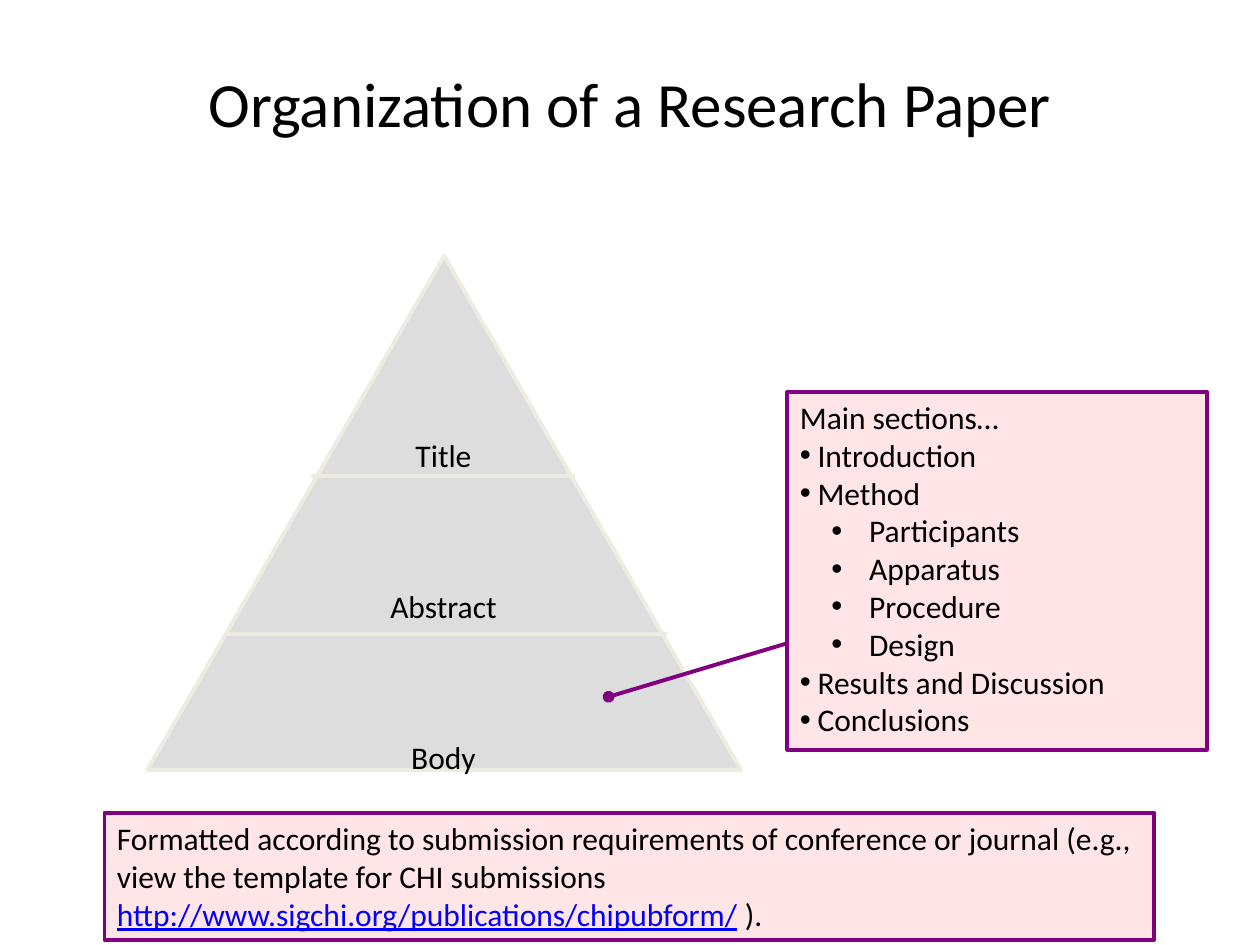
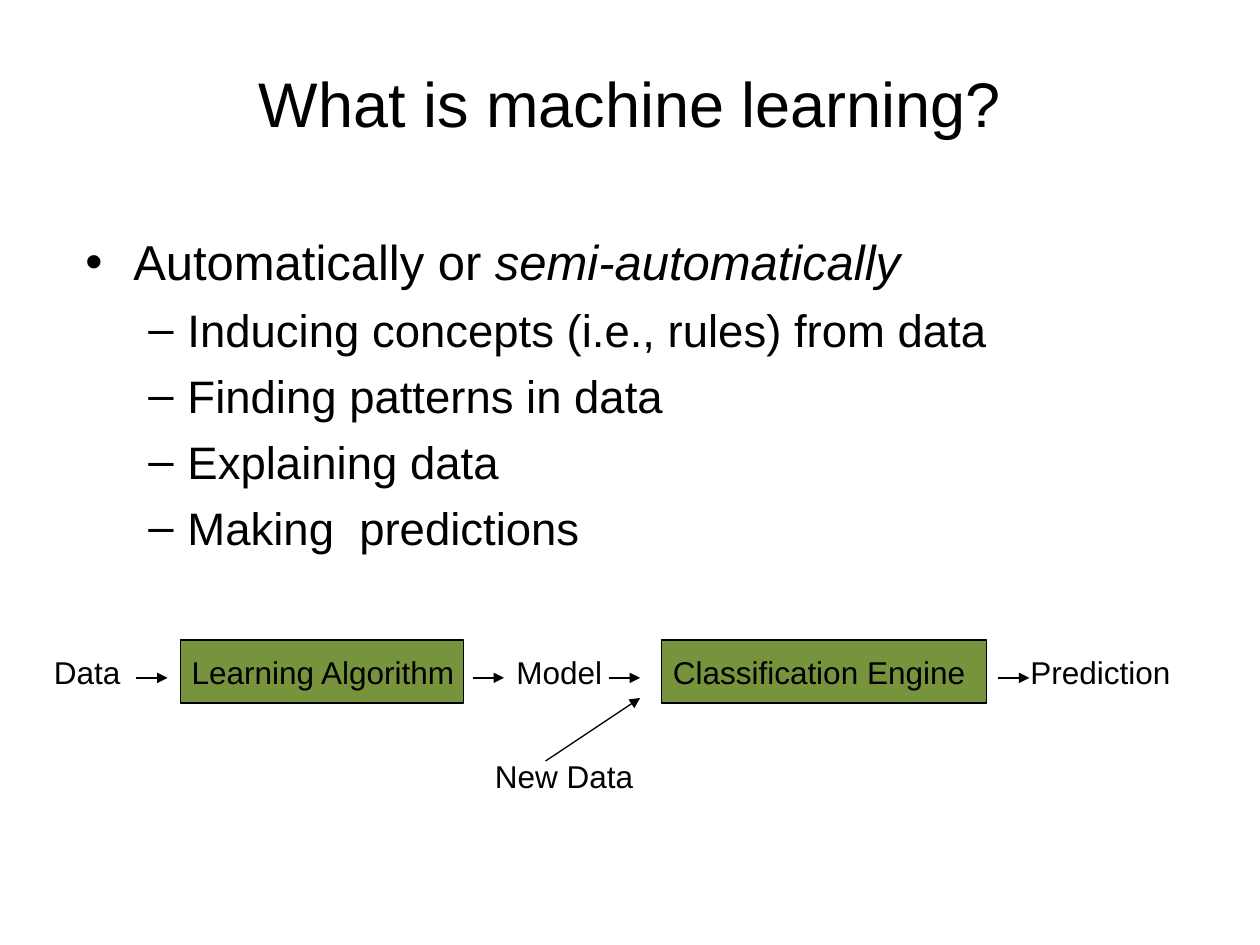
from dataclasses import dataclass
from typing import NamedTuple

from lxml import etree
from pptx import Presentation
from pptx.dml.color import RGBColor
from pptx.enum.shapes import MSO_CONNECTOR, MSO_SHAPE
from pptx.enum.text import MSO_ANCHOR, PP_ALIGN
from pptx.oxml.ns import qn
from pptx.util import Emu, Pt

PX = 9144
STRAIGHT = MSO_CONNECTOR.STRAIGHT
RECTANGLE = MSO_SHAPE.RECTANGLE
TRIANGLE = MSO_SHAPE.ISOSCELES_TRIANGLE
TOP, MIDDLE = MSO_ANCHOR.TOP, MSO_ANCHOR.MIDDLE
LEFT, CENTER = PP_ALIGN.LEFT, PP_ALIGN.CENTER

BLACK, GRAY, CREAM = "000000", "DDDDDD", "EEECE1"
PURPLE, PINK, BLUE, GREEN = "800080", "FFE5E5", "0000FF", "77933C"
CALIBRI, ARIAL = "Calibri", "Arial"
TITLE_ONLY = 5


class Box(NamedTuple):
    left: int
    top: int
    width: int
    height: int


class Run(NamedTuple):
    text: str
    color: str = BLACK
    italic: bool = False
    underline: bool = False


@dataclass
class Line:
    runs: list[Run]
    size: int = 18
    bullet: str = ""
    margin: int = 0
    hanging: int = 0
    space_before: float = 0


@dataclass
class Link:
    start: tuple[int, int]
    end: tuple[int, int]
    color: str = BLACK
    weight: float = 0.75
    head: str = ""
    tail: str = ""


@dataclass
class Panel:
    box: Box
    fill: str
    outline: str
    weight: float
    kind: int = RECTANGLE


def px(length: int) -> Emu:
    return Emu(length * PX)


def rgb(color: str) -> RGBColor:
    return RGBColor.from_string(color)


def add_bullet(paragraph, line: Line) -> None:
    properties = paragraph._p.get_or_add_pPr()
    properties.set("marL", str(px(line.margin)))
    properties.set("indent", str(-px(line.hanging)))
    etree.SubElement(properties, qn("a:buFont")).set("typeface", ARIAL)
    etree.SubElement(properties, qn("a:buChar")).set("char", line.bullet)


def write(shape, lines: list[Line], font: str, align=LEFT, anchor=TOP, wrap=True, inset=10) -> None:
    text_frame = shape.text_frame
    text_frame.word_wrap = wrap
    text_frame.vertical_anchor = anchor
    text_frame.margin_left = text_frame.margin_right = px(inset)
    text_frame.margin_top = text_frame.margin_bottom = px(5)
    for index, line in enumerate(lines):
        paragraph = text_frame.add_paragraph() if index else text_frame.paragraphs[0]
        if line.bullet:
            add_bullet(paragraph, line)
        paragraph.alignment = align
        paragraph.space_before = Pt(line.space_before if index else 0)
        for part in line.runs:
            run = paragraph.add_run()
            run.text = part.text
            run.font.name = font
            run.font.size = Pt(line.size)
            run.font.italic = part.italic
            run.font.underline = part.underline
            run.font.color.rgb = rgb(part.color)


def add_title_slide(presentation, title: str, font: str):
    slide = presentation.slides.add_slide(presentation.slide_layouts[TITLE_ONLY])
    shape = slide.shapes.title
    shape.left, shape.top, shape.width, shape.height = map(px, Box(50, 30, 900, 102))
    write(shape, [Line([Run(title)], 36)], font, CENTER, MIDDLE)
    return slide


def add_panel(slide, panel: Panel):
    shape = slide.shapes.add_shape(panel.kind, *map(px, panel.box))
    shape.shadow.inherit = False
    shape.fill.solid()
    shape.fill.fore_color.rgb = rgb(panel.fill)
    shape.line.color.rgb = rgb(panel.outline)
    shape.line.width = Pt(panel.weight)
    return shape


def add_text(slide, box: Box, lines: list[Line], font: str, align=LEFT, wrap=False) -> None:
    write(slide.shapes.add_textbox(*map(px, box)), lines, font, align, wrap=wrap)


def add_link(slide, link: Link) -> None:
    connector = slide.shapes.add_connector(STRAIGHT, *map(px, link.start + link.end))
    connector.line.color.rgb = rgb(link.color)
    connector.line.width = Pt(link.weight)
    outline = connector.line._get_or_add_ln()
    for tag, end in (("a:headEnd", link.head), ("a:tailEnd", link.tail)):
        if end:
            etree.SubElement(outline, qn(tag)).set("type", end)
    etree.SubElement(connector._element.spPr, qn("a:effectLst"))


def build_paper_slide(presentation) -> None:
    slide = add_title_slide(presentation, "Organization of a Research Paper", CALIBRI)
    add_panel(slide, Panel(Box(117, 203, 471, 408), GRAY, CREAM, 2.25, TRIANGLE))
    for index, label in enumerate(("Title", "Abstract", "Body")):
        add_text(slide, Box(252, 341 + 120 * index, 200, 40), [Line([Run(label)])], CALIBRI, CENTER, True)
    for left, right, y in ((247, 456, 378), (179, 529, 503)):
        add_link(slide, Link((left, y), (right, y), CREAM, 2.25))
    add_link(slide, Link((483, 553), (650, 503), PURPLE, 2.25, head="oval"))

    def section(text: str) -> Line:
        return Line([Run(text)], bullet="•", margin=14, hanging=14)

    def subsection(text: str) -> Line:
        return Line([Run(text)], bullet="•", margin=55, hanging=30)

    sections = [
        Line([Run("Main sections…")]),
        *map(section, ("Introduction", "Method")),
        *map(subsection, ("Participants", "Apparatus", "Procedure", "Design")),
        *map(section, ("Results and Discussion", "Conclusions")),
    ]
    format_note = [Line([
        Run("Formatted according to submission requirements of conference or journal "
            "(e.g., view the template for CHI submissions "),
        Run("http://www.sigchi.org/publications/chipubform/", BLUE, underline=True),
        Run(" )."),
    ])]
    for box, lines in ((Box(625, 311, 333, 284), sections), (Box(83, 645, 833, 101), format_note)):
        write(add_panel(slide, Panel(box, PINK, PURPLE, 2.25)), lines, CALIBRI)


def build_learning_slide(presentation) -> None:
    slide = add_title_slide(presentation, "What is machine learning?", ARIAL)
    goals = (
        "Inducing concepts (i.e., rules) from data",
        "Finding patterns in data",
        "Explaining data",
        "Making  predictions",
    )
    lines = [Line([Run("Automatically or "), Run("semi-automatically", italic=True)], 28, "•", 38, 38)]
    lines += [Line([Run(goal)], 26, "–", 81, 31, 6.5) for goal in goals]
    add_text(slide, Box(58, 179, 900, 320), lines, ARIAL, wrap=True)

    for label, left, width in (("Learning Algorithm", 143, 225), ("Classification Engine", 525, 258)):
        stage = add_panel(slide, Panel(Box(left, 508, width, 50), GREEN, BLACK, 0.75))
        write(stage, [Line([Run(label)])], ARIAL, anchor=MIDDLE, wrap=False, inset=9)
    for label, box in (
        ("Data", Box(33, 513, 73, 40)),
        ("Model", Box(400, 513, 88, 40)),
        ("New Data", Box(383, 596, 130, 40)),
        ("Prediction", Box(808, 513, 131, 40)),
    ):
        add_text(slide, box, [Line([Run(label)])], ARIAL)
    for left in (108, 375, 483, 792):
        add_link(slide, Link((left, 538), (left + 25, 538), tail="triangle"))
    add_link(slide, Link((433, 604), (508, 554), tail="triangle"))


def main() -> None:
    presentation = Presentation()
    presentation.slide_width, presentation.slide_height = px(1000), px(750)
    build_paper_slide(presentation)
    build_learning_slide(presentation)
    presentation.save("out.pptx")


if __name__ == "__main__":
    main()
